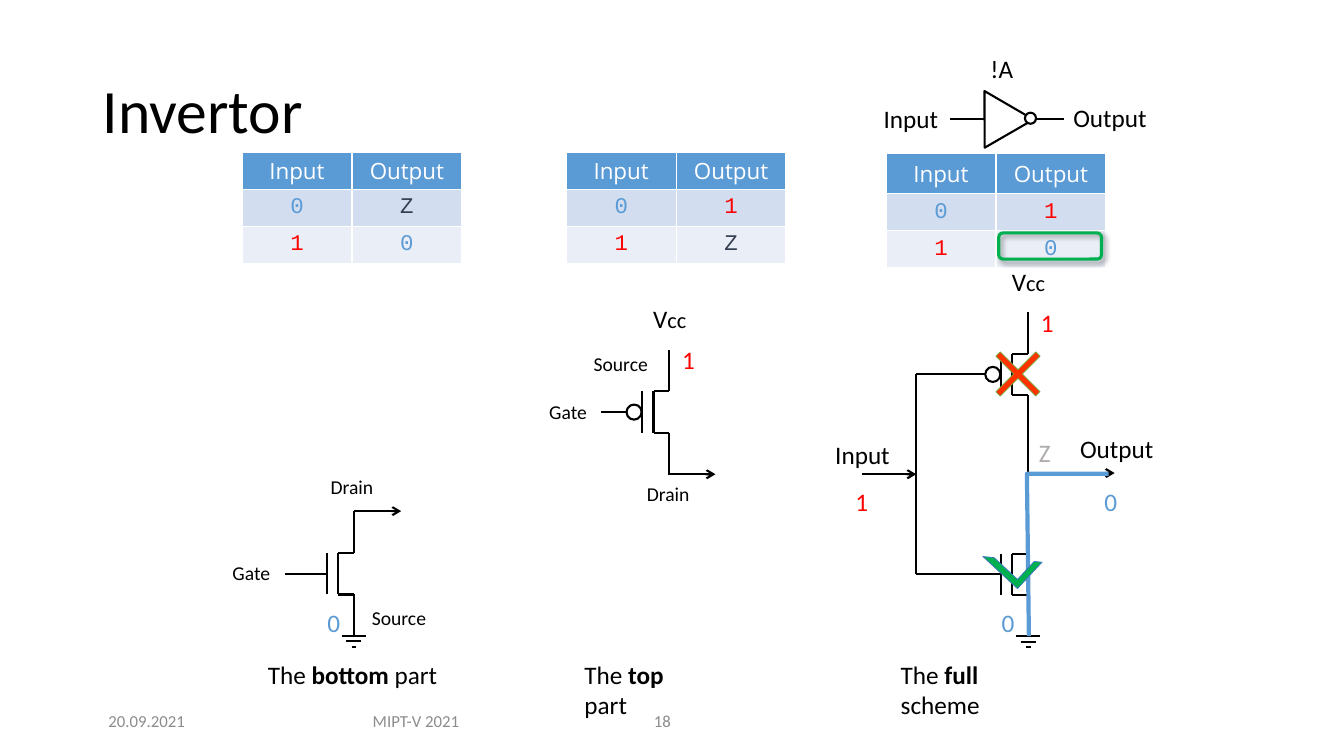
"""Build the slide on the CMOS invertor: its two halves and the full scheme."""
from lxml import etree
from pptx import Presentation, util as u
from pptx.dml.color import RGBColor
from pptx.enum import shapes, text
from pptx.oxml import parse_xml
from pptx.oxml.ns import nsdecls, qn

COLOURS = {
    "ink": "000000", "paper": "FFFFFF", "header": "5B9BD5", "odd": "D2DEEF",
    "even": "EAEFF7", "0": "5B9BD5", "1": "FF0000", "Z": "333F50",
    "floating": "AFABAB", "footer": "8C8C8C", "on": "00B050",
    "on_edge": "4472C4", "off": "FF3300", "off_edge": "70AD47",
}
SEGMENT = 1.05
SHADOW = (
    f'<a:effectLst {nsdecls("a")}><a:outerShdw blurRad="50800" dist="38100" '
    'dir="2700000"><a:srgbClr val="000000"><a:alpha val="40000"/></a:srgbClr>'
    '</a:outerShdw></a:effectLst>'
)


def colour(name):
    """Return the named colour."""
    return RGBColor.from_string(COLOURS[name])


def style_font(font, size, ink, face="Calibri"):
    """Set face, size and colour of a font."""
    font.name, font.size, font.bold = face, u.Pt(size), False
    font.color.rgb = colour(ink)


def label(slide, left, top, width, words, ink="ink", size=18, height=1.02,
          wrap=False, anchor=text.MSO_ANCHOR.TOP, align=text.PP_ALIGN.LEFT):
    """Add a text label and return its paragraph."""
    frame = slide.shapes.add_textbox(
        u.Cm(left), u.Cm(top), u.Cm(width), u.Cm(height)).text_frame
    frame.word_wrap, frame.vertical_anchor = wrap, anchor
    line = frame.paragraphs[0]
    line.alignment = align
    line.add_run().text = words
    style_font(line.font, size, ink)
    return line


def wire(slide, x1, y1, x2, y2, arrow=False):
    """Draw a straight wire, with an arrowhead at its end if asked."""
    lead = slide.shapes.add_connector(
        shapes.MSO_CONNECTOR.STRAIGHT, u.Cm(x1), u.Cm(y1), u.Cm(x2), u.Cm(y2))
    lead.line.color.rgb, lead.line.width = colour("ink"), u.Pt(1.5)
    if arrow:
        etree.SubElement(lead.line._get_or_add_ln(), qn("a:tailEnd"), type="arrow")
    etree.SubElement(lead._element.spPr, qn("a:effectLst"))


def figure(slide, kind, left, top, width, height, fill="paper", edge="ink",
           weight=1.5, adjustments=(), rotation=0):
    """Add a preset shape and return it."""
    outline = slide.shapes.add_shape(
        kind, u.Cm(left), u.Cm(top), u.Cm(width), u.Cm(height))
    outline.shadow.inherit = False
    outline.rotation = rotation
    for index, value in enumerate(adjustments):
        outline.adjustments[index] = value
    if fill:
        outline.fill.solid()
        outline.fill.fore_color.rgb = colour(fill)
    else:
        outline.fill.background()
    outline.line.color.rgb, outline.line.width = colour(edge), u.Pt(weight)
    return outline


def truth_table(slide, left, top, results, header_height=0.93):
    """Add the truth table for inputs 0 and 1."""
    rows = [("Input", "Output"), *zip("01", results)]
    table = slide.shapes.add_table(
        3, 2, u.Cm(left), u.Cm(top), u.Cm(5.54), u.Cm(header_height + 1.86)).table
    for r, (row, fill) in enumerate(zip(rows, ("header", "odd", "even"))):
        table.rows[r].height = u.Cm(0.93 if r else header_height)
        for c, value in enumerate(row):
            cell = table.cell(r, c)
            cell.fill.solid()
            cell.fill.fore_color.rgb = colour(fill)
            cell.margin_top = cell.margin_bottom = 0
            cell.vertical_anchor = text.MSO_ANCHOR.MIDDLE
            cell.text = value
            line = cell.text_frame.paragraphs[0]
            line.alignment = text.PP_ALIGN.CENTER
            if r:
                style_font(line.font, 16, value, "Courier New")
            else:
                style_font(line.font, 16, "paper", "Open Sans")


def transistor(slide, x, y, inverted=False):
    """Draw a transistor whose drain-source line runs down from (x, y)."""
    channel, gate = x - 0.4, x - 0.68
    upper, lower = y + SEGMENT, y + 2 * SEGMENT
    middle = (upper + lower) / 2
    wire(slide, channel, upper, channel, lower)
    wire(slide, gate, upper, gate, lower)
    wire(slide, gate, middle, gate - SEGMENT, middle)
    for end, start in ((y, upper), (lower + SEGMENT, lower)):
        wire(slide, channel, start, x, start)
        wire(slide, x, start, x, end)
    if inverted:
        figure(slide, shapes.MSO_SHAPE.OVAL, gate - 0.4, middle - 0.19, 0.38, 0.38)


def ground(slide, x, y):
    """Draw the ground sign with its 0 level."""
    for step, half in enumerate((0.31, 0.19, 0.06)):
        wire(slide, x - half, y + 0.14 * step, x + half, y + 0.14 * step)
    label(slide, x - 0.92, y - 0.85, 0.84, "0", "0")


def supply(slide, x, y):
    """Name the supply voltage above (x, y) with its 1 level."""
    suffix = label(slide, x - 0.66, y - 1.28, 1.37, "V").add_run()
    suffix.text, suffix.font.size = "cc", u.Pt(16)
    label(slide, x + 0.07, y - 0.25, 0.86, "1", "1")


def caption(slide, left, width, part, noun):
    """Add a caption with its key word in bold."""
    line = label(slide, left, 16.48, width, "The ", wrap=True)
    key = line.add_run()
    key.text, key.font.bold = part + " ", True
    line.add_run().text = noun


def halves(slide):
    """Draw the bottom and the top half."""
    transistor(slide, 8.92, 12.88)
    ground(slide, 8.92, 16.02)
    wire(slide, 8.92, 12.88, 10.11, 12.88, arrow=True)
    transistor(slide, 16.87, 8.81, inverted=True)
    supply(slide, 16.87, 8.81)
    wire(slide, 16.87, 11.95, 18.03, 11.95, arrow=True)
    for left, top, width, terminal in (
            (5.61, 14.02, 1.5, "Gate"), (8.08, 11.84, 1.6, "Drain"),
            (9.12, 15.14, 1.96, "Source"), (13.59, 9.96, 1.5, "Gate"),
            (16.05, 12.01, 1.6, "Drain"), (14.71, 8.74, 1.96, "Source")):
        label(slide, left, top, width, terminal, size=14, height=0.86)


def full_scheme(slide):
    """Draw the full scheme with input 1 applied."""
    spine, bus, top, bottom = 25.91, 23.09, 7.86, 12.9
    transistor(slide, spine, bottom)
    ground(slide, spine, 16.03)
    transistor(slide, spine, top, inverted=True)
    supply(slide, spine, top)
    gates = [y + 1.5 * SEGMENT for y in (top, bottom)]
    for y in gates:
        wire(slide, 24.18, y, bus, y)
    wire(slide, bus, gates[0], bus, gates[1])
    wire(slide, spine, 10.99, spine, bottom)
    wire(slide, 21.72, 11.95, bus, 11.95, arrow=True)
    wire(slide, spine, 11.92, 28.09, 11.92, arrow=True)
    label(slide, 20.8, 10.95, 1.9, "Input")
    label(slide, 26.97, 10.8, 2.41, "Output")
    label(slide, 21.31, 12.12, 0.86, "1", "1")
    label(slide, 27.58, 12.12, 0.84, "0", "0")
    label(slide, 25.93, 10.9, 0.81, "Z", "floating")
    figure(slide, shapes.MSO_SHAPE.MATH_MULTIPLY, 24.69, 8.46, 1.93, 1.93,
           "off", "off_edge", 0.5, (0.08,))
    route = slide.shapes.build_freeform(u.Cm(25.93), u.Cm(16.03))
    route.add_line_segments(
        [(u.Cm(25.88), u.Cm(11.94)), (u.Cm(27.94), u.Cm(11.94))], close=False)
    current = route.convert_to_shape()
    current.shadow.inherit = False
    current.fill.background()
    current.line.color.rgb, current.line.width = colour("0"), u.Pt(3)
    figure(slide, shapes.MSO_SHAPE.HALF_FRAME, 24.92, 13.64, 1.19, 0.91,
           "on", "on_edge", 0.5, (0.19, 0.175), 222.9)


def not_gate(slide):
    """Draw the logic symbol of the invertor."""
    figure(slide, shapes.MSO_SHAPE.ISOSCELES_TRIANGLE, 24.41, 2.21, 1.42, 1.24,
           rotation=330)
    figure(slide, shapes.MSO_SHAPE.OVAL, 25.83, 2.84, 0.28, 0.28)
    wire(slide, 26.82, 3, 26.11, 3)
    wire(slide, 24.79, 3, 23.93, 3)
    label(slide, 22.02, 2.49, 1.9, "Input")
    label(slide, 26.8, 2.46, 2.41, "Output")
    label(slide, 24.71, 1.22, 1.09, "!A")


def main():
    """Build and save the slide."""
    deck = Presentation()
    deck.slide_width, deck.slide_height = u.Cm(33.87), u.Cm(19.05)
    slide = deck.slides.add_slide(deck.slide_layouts[6])
    middle, centre = text.MSO_ANCHOR.MIDDLE, text.PP_ALIGN.CENTER
    title = label(slide, 2.34, 1.02, 29.21, "Invertor", size=44, height=3.68,
                  wrap=True, anchor=middle)
    title.line_spacing = 0.9
    truth_table(slide, 6.1, 3.84, "Z0")
    truth_table(slide, 14.27, 3.84, "1Z")
    truth_table(slide, 22.33, 3.86, "10", header_height=1.02)
    halves(slide)
    full_scheme(slide)
    not_gate(slide)
    result = figure(slide, shapes.MSO_SHAPE.ROUNDED_RECTANGLE, 25.17, 5.87,
                    2.59, 0.66, None, "on", 2.25)
    properties = result._element.spPr
    properties.replace(properties.find(qn("a:effectLst")), parse_xml(SHADOW))
    caption(slide, 6.5, 5, "bottom", "part")
    caption(slide, 14.48, 3.5, "top", "part")
    caption(slide, 22.45, 4.2, "full", "scheme")
    for left, width, words, align in (
            (2.34, 2.72, "20.09.2021", centre), (8.48, 4.01, "MIPT-V 2021", centre),
            (16.23, 2.01, "18", text.PP_ALIGN.LEFT)):
        label(slide, left, 17.65, width, words, "footer", 12, wrap=True,
              anchor=middle, align=align)
    deck.save("out.pptx")


main()
